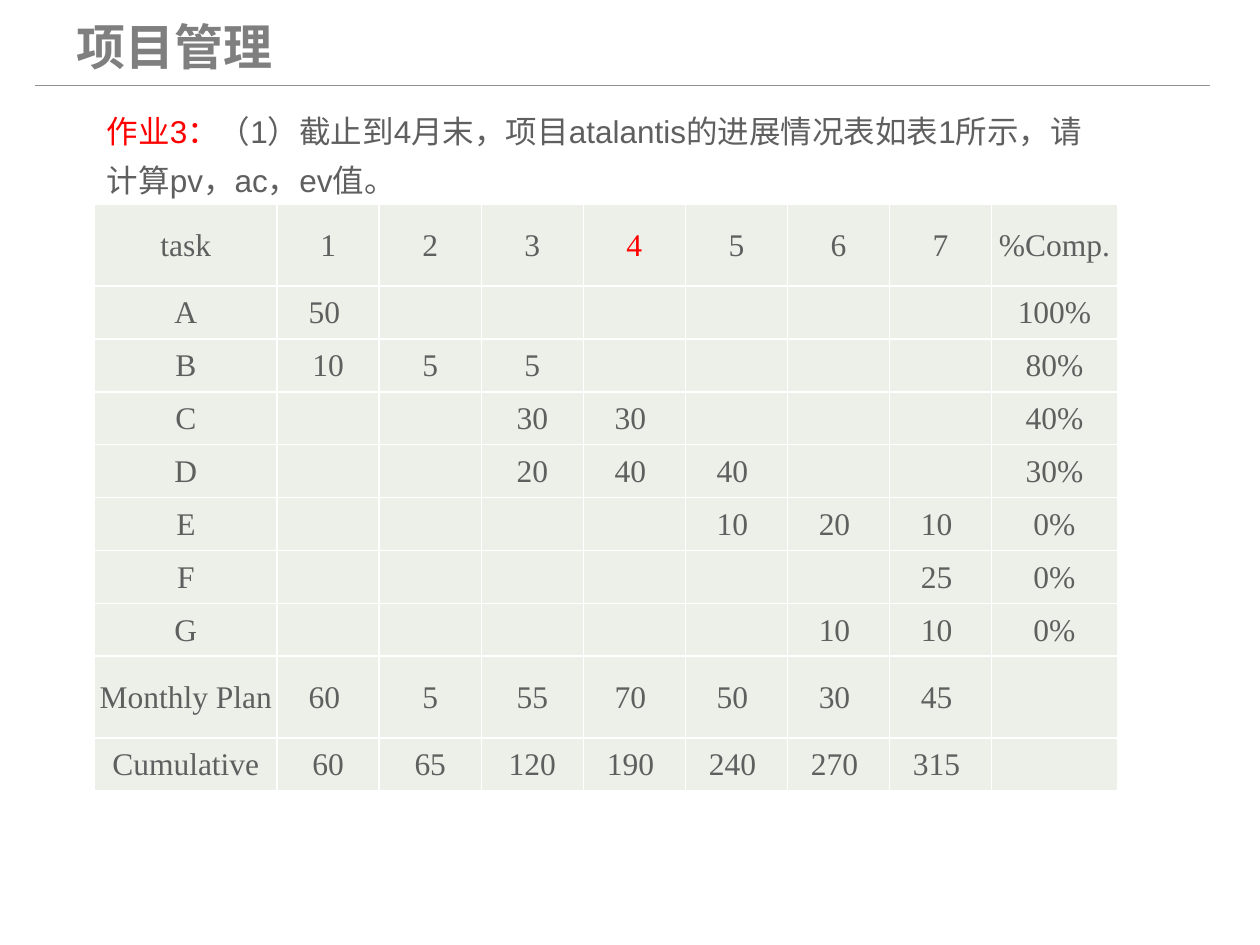
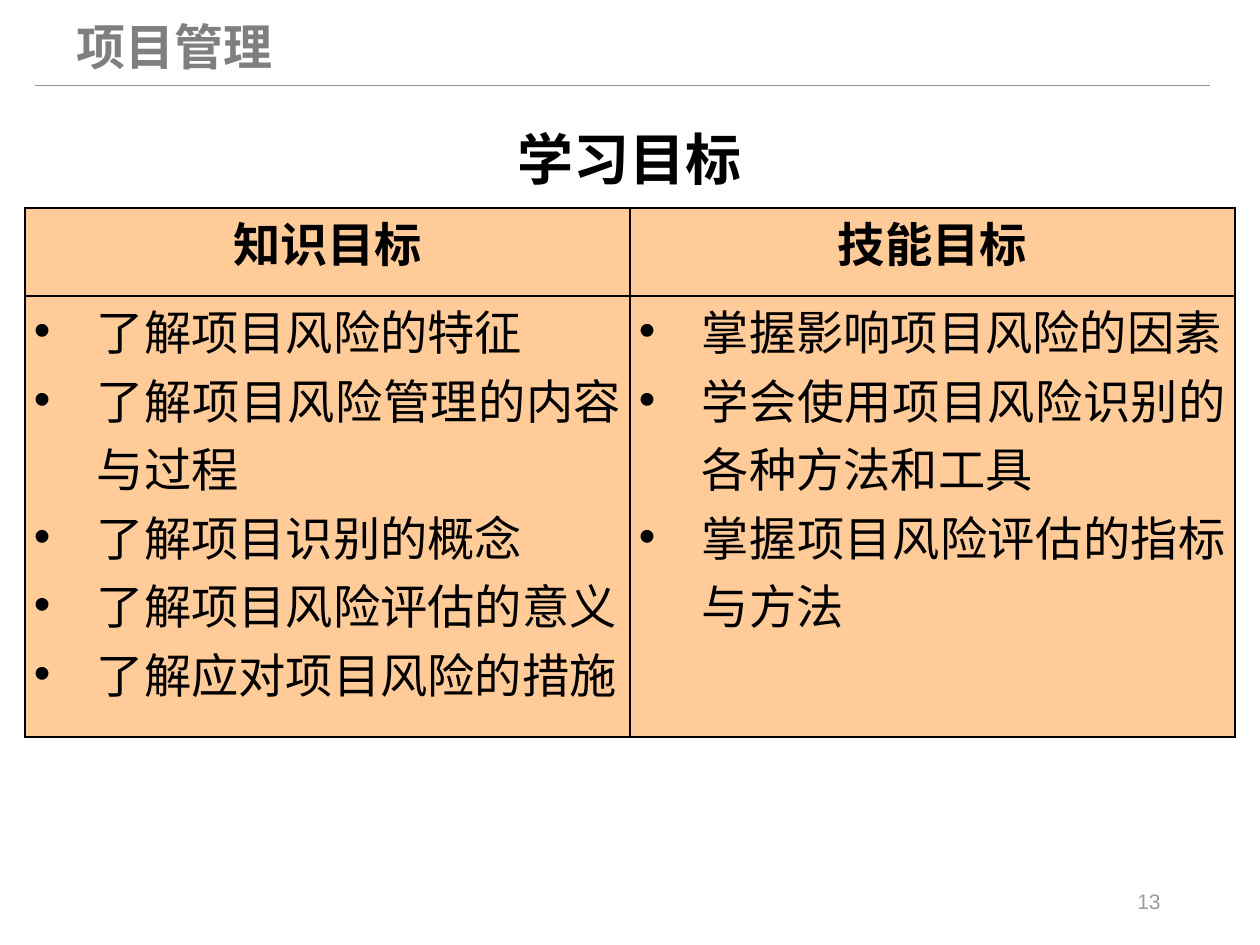
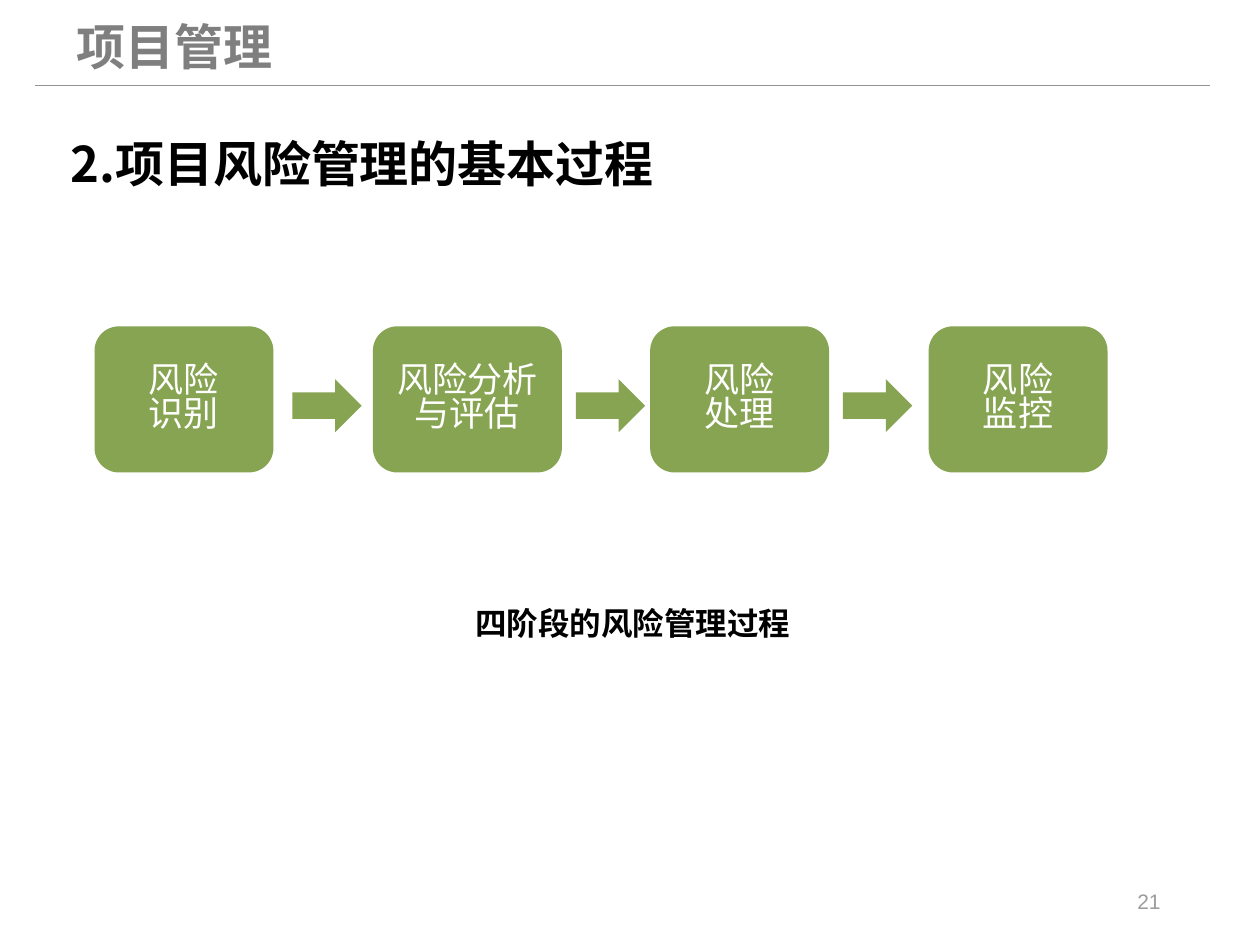
"""Build three project management slides: homework table, goals and risk process."""
from dataclasses import dataclass
from pptx import Presentation
from pptx.dml.color import RGBColor as Rgb
from pptx.enum.shapes import MSO_CONNECTOR as Conn, MSO_SHAPE as Shape
from pptx.enum.text import MSO_ANCHOR as Anchor, MSO_AUTO_SIZE as Fit, PP_ALIGN as Align
from pptx.oxml.ns import qn
from pptx.util import Inches, Pt
from lxml.etree import SubElement as Sub


@dataclass(frozen=True)
class Theme:
    sans: str = "Arial"
    han: str = "Noto Sans CJK SC"
    serif: str = "Times New Roman"
    green: str = "87A452"
    rule: str = "929292"
    brand: str = "7F7F7F"
    text: str = "5F5F5F"
    page: str = "9D9D9D"
    black: str = "000000"
    white: str = "FFFFFF"
    red: str = "FF0000"
    pale: str = "EDF0E9"
    peach: str = "FFCC99"
    large: float = 32
    head: float = 28
    goal: float = 27
    step: float = 20
    body: float = 18
    small: float = 12


T = Theme()


def write(para, text, size, color, face=T.han, bold=False):
    run = para.add_run()
    run.text = text
    font = run.font
    font.size, font.bold, font.name = Pt(size), bold, face
    font.color.rgb = Rgb.from_string(color)
    Sub(run._r.get_or_add_rPr(), qn("a:ea"), typeface=T.han)


def dress(cell, fill, edge, pads):
    props = cell._tc.get_or_add_tcPr()
    for side in ("lnL", "lnR", "lnT", "lnB"):
        line = Sub(props, qn(f"a:{side}"), w=str(Pt(1)))
        Sub(Sub(line, qn("a:solidFill")), qn("a:srgbClr"), val=edge)
    cell.fill.solid()
    cell.fill.fore_color.rgb = Rgb.from_string(fill)
    cell.margin_left, cell.margin_top, cell.margin_right, cell.margin_bottom = map(Inches, pads)


prs = Presentation()
prs.slide_width, prs.slide_height = Inches(10), Inches(7.5)
work = prs.slides.add_slide(prs.slide_layouts[6])
goals = prs.slides.add_slide(prs.slide_layouts[5])
flow = prs.slides.add_slide(prs.slide_layouts[5])

rule = work.shapes.add_connector(Conn.STRAIGHT, Inches(0.28), Inches(0.68), Inches(9.6), Inches(0.68))
rule.line.color.rgb = Rgb.from_string(T.rule)
rule.line.width = Pt(0.75)
Sub(rule._element.spPr, qn("a:effectLst"))
brand = work.shapes.add_textbox(Inches(0.51), Inches(0.08), Inches(1.77), Inches(0.57))
brand.text_frame.word_wrap = False
write(brand.text_frame.paragraphs[0], "项目管理", T.head, T.brand, bold=True)
for part in (rule, brand):
    prs.slide_master.shapes.element.append(part.element)

for slide, text, size, align in (
    (goals, "学习目标", T.large, Align.CENTER),
    (flow, "2.项目风险管理的基本过程", T.head, Align.LEFT),
):
    title = slide.shapes.title
    title.left, title.top, title.width, title.height = map(Inches, (0.46, 0.81, 9.07, 0.77))
    frame = title.text_frame
    frame.auto_size, frame.vertical_anchor = Fit.NONE, Anchor.BOTTOM
    para = frame.paragraphs[0]
    para.alignment, para.line_spacing = align, 0.9
    write(para, text, size, T.black, bold=True)

for slide, text in ((goals, "13"), (flow, "21")):
    page = slide.shapes.add_textbox(Inches(7.06), Inches(6.95), Inches(2.25), Inches(0.4))
    page.text_frame.word_wrap = True
    page.text_frame.vertical_anchor = Anchor.MIDDLE
    para = page.text_frame.paragraphs[0]
    para.alignment = Align.RIGHT
    write(para, text, T.small, T.page, T.sans)

plan = [
    ["task", "1", "2", "3", "4", "5", "6", "7", "%Comp."],
    ["A", "50 ", "", "", "", "", "", "", "100%"],
    ["B", "10", "5", "5", "", "", "", "", "80%"],
    ["C", "", "", "30", "30 ", "", "", "", "40%"],
    ["D", "", "", "20", "40 ", "40 ", "", "", "30%"],
    ["E", "", "", "", "", "10 ", "20 ", "10 ", "0%"],
    ["F", "", "", "", "", "", "", "25 ", "0%"],
    ["G", "", "", "", "", "", "10 ", "10 ", "0%"],
    ["Monthly Plan", "60 ", "5", "55", "70 ", "50 ", "30 ", "45 ", ""],
    ["Cumulative", "60", "65", "120", "190 ", "240 ", "270 ", "315 ", ""],
]
grid = work.shapes.add_table(10, 9, Inches(0.75), Inches(1.62), Inches(8.11), Inches(4.65)).table
grid.first_row = grid.horz_banding = False
for col, wide in zip(grid.columns, [1.45] + [0.81] * 7 + [1]):
    col.width = Inches(wide)
for r, row in enumerate(plan):
    grid.rows[r].height = Inches(0.65 if r in (0, 8) else 0.42)
    for c, text in enumerate(row):
        cell = grid.cell(r, c)
        dress(cell, T.pale, T.white, (0.01, 0.01, 0.01, 0))
        cell.vertical_anchor = Anchor.MIDDLE
        if text:
            para = cell.text_frame.paragraphs[0]
            para.alignment = Align.CENTER
            write(para, text, T.body, T.red if (r, c) == (0, 4) else T.text, T.serif)

task = work.shapes.add_textbox(Inches(0.75), Inches(0.75), Inches(7.95), Inches(0.85))
task.text_frame.word_wrap = True
para = task.text_frame.paragraphs[0]
para.line_spacing = 1.3
write(para, "作业3：", T.body, T.red, T.sans)
write(para, "（1）截止到4月末，项目atalantis的进展情况表如表1所示，请计算pv，ac，ev值。", T.body, T.text, T.sans)

aims = {
    "知识目标": [
        "了解项目风险的特征",
        "了解项目风险管理的内容与过程",
        "了解项目识别的概念",
        "了解项目风险评估的意义",
        "了解应对项目风险的措施",
    ],
    "技能目标": [
        "掌握影响项目风险的因素",
        "学会使用项目风险识别的各种方法和工具",
        "掌握项目风险评估的指标与方法",
    ],
}
grid = goals.shapes.add_table(2, 2, Inches(0.2), Inches(1.65), Inches(9.6), Inches(4.2)).table
grid.first_row = grid.horz_banding = False
grid.rows[0].height, grid.rows[1].height = Inches(0.7), Inches(3.5)
for c, (name, items) in enumerate(aims.items()):
    top, cell = grid.cell(0, c), grid.cell(1, c)
    for box in (top, cell):
        dress(box, T.peach, T.black, (0.07, 0, 0.07, 0))
    para = top.text_frame.paragraphs[0]
    para.alignment = Align.CENTER
    write(para, name, T.goal, T.black, bold=True)
    frame = cell.text_frame
    for i, item in enumerate(items):
        para = frame.add_paragraph() if i else frame.paragraphs[0]
        props = para._p.get_or_add_pPr()
        props.set("marL", str(Inches(0.5)))
        props.set("indent", str(-Inches(0.5)))
        Sub(props, qn("a:buFont"), typeface=T.sans)
        Sub(props, qn("a:buChar"), char="•")
        para.alignment = Align.JUSTIFY
        write(para, item, T.goal, T.black)

note = flow.shapes.add_textbox(Inches(3.29), Inches(4.69), Inches(3.11), Inches(0.5))
note.text_frame.word_wrap = False
note.text_frame.vertical_anchor = Anchor.MIDDLE
para = note.text_frame.paragraphs[0]
para.alignment = Align.CENTER
para._p.get_or_add_pPr().set("indent", str(Inches(0.35)))
write(para, "四阶段的风险管理过程", T.body, T.black, bold=True)

steps = [
    (0.75, 1.42, ("风险", "识别")),
    (2.96, 1.5, ("风险分析", "与评估")),
    (5.16, 1.42, ("风险", "处理")),
    (7.37, 1.42, ("风险", "监控")),
]
parts = []
for left, wide, lines in steps:
    box = flow.shapes.add_shape(Shape.ROUNDED_RECTANGLE, Inches(left), Inches(2.59), Inches(wide), Inches(1.16))
    parts.append(box)
    frame = box.text_frame
    frame.vertical_anchor = Anchor.MIDDLE
    for i, text in enumerate(lines):
        para = frame.add_paragraph() if i else frame.paragraphs[0]
        para.alignment, para.line_spacing = Align.CENTER, 0.82
        write(para, text, T.step, T.white, T.sans)
for left in (2.32, 4.57, 6.69):
    parts.append(flow.shapes.add_shape(Shape.RIGHT_ARROW, Inches(left), Inches(3.01), Inches(0.55), Inches(0.42)))
for part in parts:
    part.shadow.inherit = False
    part.fill.solid()
    part.fill.fore_color.rgb = Rgb.from_string(T.green)
    part.line.fill.background()

prs.save("out.pptx")
